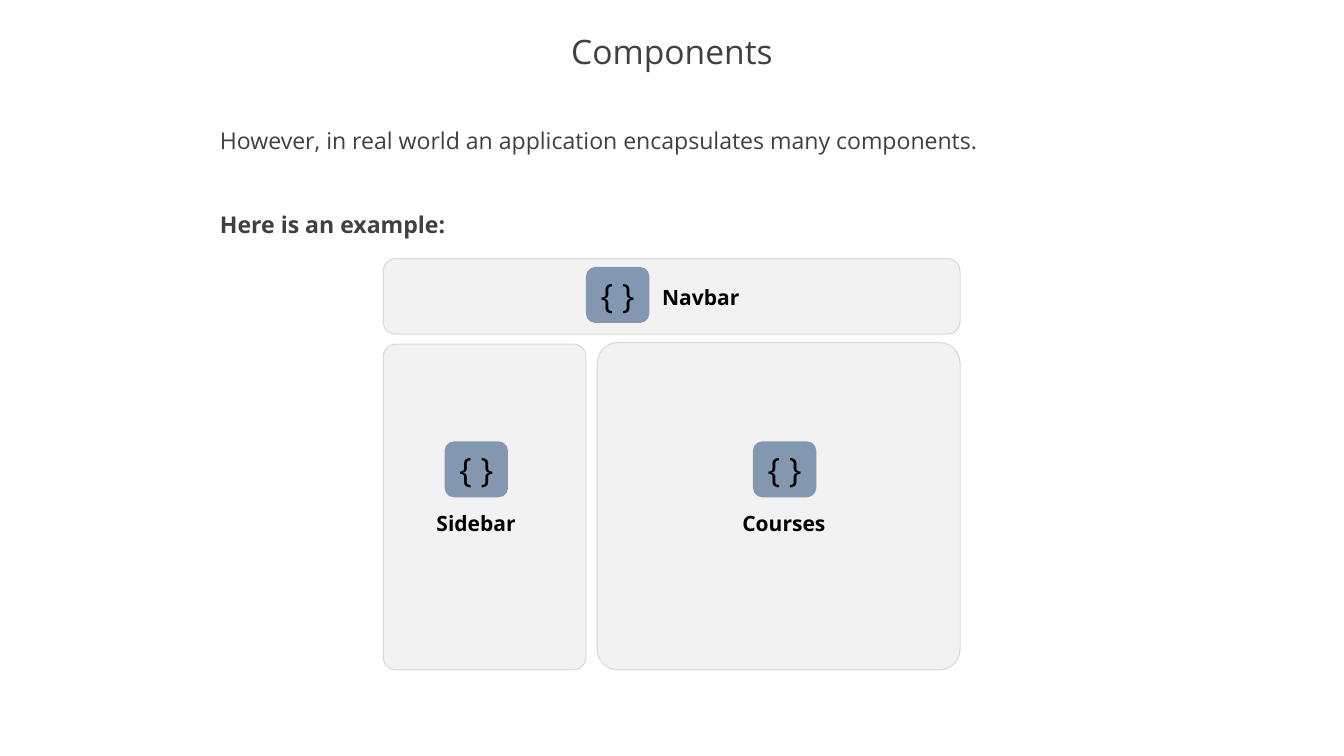
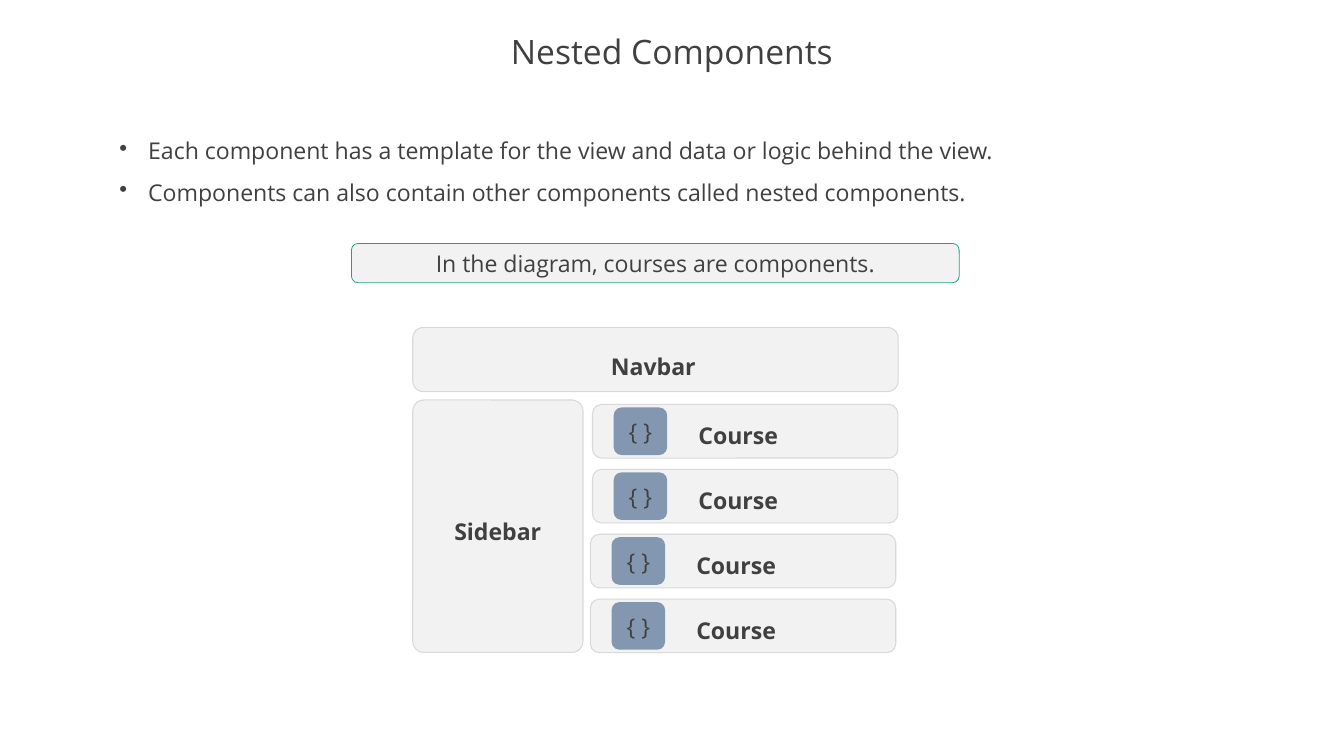
"""Build two slides that explain components and nested components."""
from dataclasses import dataclass

from lxml.etree import SubElement
from pptx import Presentation
from pptx.dml.color import RGBColor
from pptx.enum.shapes import MSO_SHAPE
from pptx.enum.text import MSO_ANCHOR, MSO_AUTO_SIZE, PP_ALIGN
from pptx.oxml.ns import qn
from pptx.util import Cm, Pt


@dataclass(frozen=True)
class Theme:
    font: str = "Open Sans"
    text: str = "404040"
    strong: str = "000000"
    panel: str = "F2F2F2"
    border: str = "D9D9D9"
    icon: str = "8497B0"
    accent: str = "1EA185"
    title_size: int = 32
    body_size: int = 22
    label_size: int = 20
    icon_size: int = 32


THEME = Theme()
SLIDE_SIZE = (45.16, 25.4)
TITLE_BOX = (0, 0.89, 45.16, 1.85)
DEFAULT_CORNER = 0.16667
ICON_TEXT = "{ }"
BULLET_INDENT = 0.97

COMPONENTS = {
    "title": "Components",
    "intro": "However, in real world an application encapsulates many components.",
    "lead": "Here is an example:",
    "text_box": (7.14, 3.66, 27.23, 4.5),
    "icon_size": (2.13, 1.88),
    "label_size": (5.64, 0.97),
    "parts": [
        {"name": "Sidebar", "panel": (12.88, 11.56, 6.81, 10.95), "corner": 0.063,
         "icon": (14.94, 14.83), "label": (13.18, 17.04), "align": PP_ALIGN.CENTER},
        {"name": "Navbar", "panel": (12.88, 8.69, 19.38, 2.54), "corner": DEFAULT_CORNER,
         "icon": (19.69, 8.97), "label": (22, 9.42), "align": PP_ALIGN.LEFT},
        {"name": "Courses", "panel": (20.07, 11.51, 12.19, 11), "corner": 0.063,
         "icon": (25.3, 14.83), "label": (23.52, 17.04), "align": PP_ALIGN.CENTER},
    ],
}

NESTED = {
    "title": "Nested Components",
    "bullets": [
        "Each component has a template for the view and data or logic behind the view.",
        "Components can also contain other components called nested components.",
    ],
    "text_box": (3.76, 4.01, 31.8, 3.07),
    "callout": "In the diagram, courses are components.",
    "callout_box": (11.81, 8.18, 20.42, 1.32),
    "label_size": (4.75, 1.19),
    "parts": [
        {"name": "Sidebar", "panel": (13.87, 13.44, 5.72, 8.48), "corner": 0.065,
         "label": (14.35, 17.25)},
        {"name": "Navbar", "panel": (13.87, 11, 16.31, 2.16), "corner": DEFAULT_CORNER,
         "label": (19.58, 11.71)},
    ],
    "course": "Course",
    "course_lefts": [19.91, 19.91, 19.84, 19.84],
    "course_top": 13.59,
    "course_pitch": 2.18,
    "course_size": (10.26, 1.8),
    "icon_offset": (0.71, 0.1),
    "icon_size": (1.8, 1.6),
    "label_offset": (2.52, 0.46),
}


def lengths(box):
    return [Cm(value) for value in box]


def write_text(shape, text, *, size=THEME.body_size, color=THEME.text, bold=False,
               align=PP_ALIGN.LEFT, anchor=MSO_ANCHOR.TOP, spacing=None, before=0,
               bullet=False, grow=False, append=False):
    frame = shape.text_frame
    frame.word_wrap = True
    frame.vertical_anchor = anchor
    frame.auto_size = MSO_AUTO_SIZE.SHAPE_TO_FIT_TEXT if grow else MSO_AUTO_SIZE.NONE
    paragraph = frame.add_paragraph() if append else frame.paragraphs[0]
    paragraph.alignment = align
    if spacing:
        paragraph.line_spacing = spacing
    if before:
        paragraph.space_before = Pt(before)
    if bullet:
        properties = paragraph._p.get_or_add_pPr()
        properties.set("marL", str(Cm(BULLET_INDENT)))
        properties.set("indent", str(-Cm(BULLET_INDENT)))
        SubElement(properties, qn("a:buChar")).set("char", "•")
    run = paragraph.add_run()
    run.text = text
    run.font.name = THEME.font
    run.font.size = Pt(size)
    run.font.bold = bold
    run.font.color.rgb = RGBColor.from_string(color)


def add_text_box(slide, box, text, **text_format):
    shape = slide.shapes.add_textbox(*lengths(box))
    write_text(shape, text, **text_format)
    return shape


def add_panel(slide, box, *, fill=THEME.panel, line=THEME.border, width=1,
              corner=DEFAULT_CORNER):
    shape = slide.shapes.add_shape(MSO_SHAPE.ROUNDED_RECTANGLE, *lengths(box))
    shape.shadow.inherit = False
    shape.adjustments[0] = corner
    shape.fill.solid()
    shape.fill.fore_color.rgb = RGBColor.from_string(fill)
    if line:
        shape.line.color.rgb = RGBColor.from_string(line)
        shape.line.width = Pt(width)
    else:
        shape.line.fill.background()
    return shape


def add_icon(slide, box, **text_format):
    icon = add_panel(slide, box, fill=THEME.icon, line=None)
    write_text(icon, ICON_TEXT, align=PP_ALIGN.CENTER, anchor=MSO_ANCHOR.MIDDLE,
               **text_format)


def add_titled_slide(presentation, title):
    slide = presentation.slides.add_slide(presentation.slide_layouts[6])
    add_text_box(slide, TITLE_BOX, title, size=THEME.title_size, align=PP_ALIGN.CENTER,
                 anchor=MSO_ANCHOR.MIDDLE, spacing=0.9)
    return slide


def build_components(presentation, content):
    slide = add_titled_slide(presentation, content["title"])
    body = add_text_box(slide, content["text_box"], content["intro"], spacing=1.5, grow=True)
    write_text(body, content["lead"], bold=True, spacing=1.5, before=40, grow=True,
               append=True)
    for part in content["parts"]:
        add_panel(slide, part["panel"], corner=part["corner"])
        add_icon(slide, part["icon"] + content["icon_size"], size=THEME.icon_size,
                 color=THEME.strong)
        add_text_box(slide, part["label"] + content["label_size"], part["name"],
                     size=THEME.label_size, color=THEME.strong, bold=True,
                     align=part["align"], grow=True)


def build_nested(presentation, content):
    slide = add_titled_slide(presentation, content["title"])
    first, *others = content["bullets"]
    bullet_format = {"spacing": 1.5, "bullet": True, "grow": True}
    body = add_text_box(slide, content["text_box"], first, **bullet_format)
    for text in others:
        write_text(body, text, append=True, **bullet_format)
    callout = add_panel(slide, content["callout_box"], line=THEME.accent, width=0.75)
    write_text(callout, content["callout"], align=PP_ALIGN.CENTER, grow=True)

    label_format = {"bold": True, "align": PP_ALIGN.CENTER, "grow": True}
    for part in content["parts"]:
        add_panel(slide, part["panel"], corner=part["corner"])
        add_text_box(slide, part["label"] + content["label_size"], part["name"],
                     **label_format)

    icon_x, icon_y = content["icon_offset"]
    label_x, label_y = content["label_offset"]
    for row, left in enumerate(content["course_lefts"]):
        top = content["course_top"] + row * content["course_pitch"]
        add_panel(slide, (left, top) + content["course_size"])
        add_icon(slide, (left + icon_x, top + icon_y) + content["icon_size"])
        add_text_box(slide, (left + label_x, top + label_y) + content["label_size"],
                     content["course"], **label_format)


def main():
    presentation = Presentation()
    presentation.slide_width, presentation.slide_height = lengths(SLIDE_SIZE)
    build_components(presentation, COMPONENTS)
    build_nested(presentation, NESTED)
    presentation.save("out.pptx")


if __name__ == "__main__":
    main()
